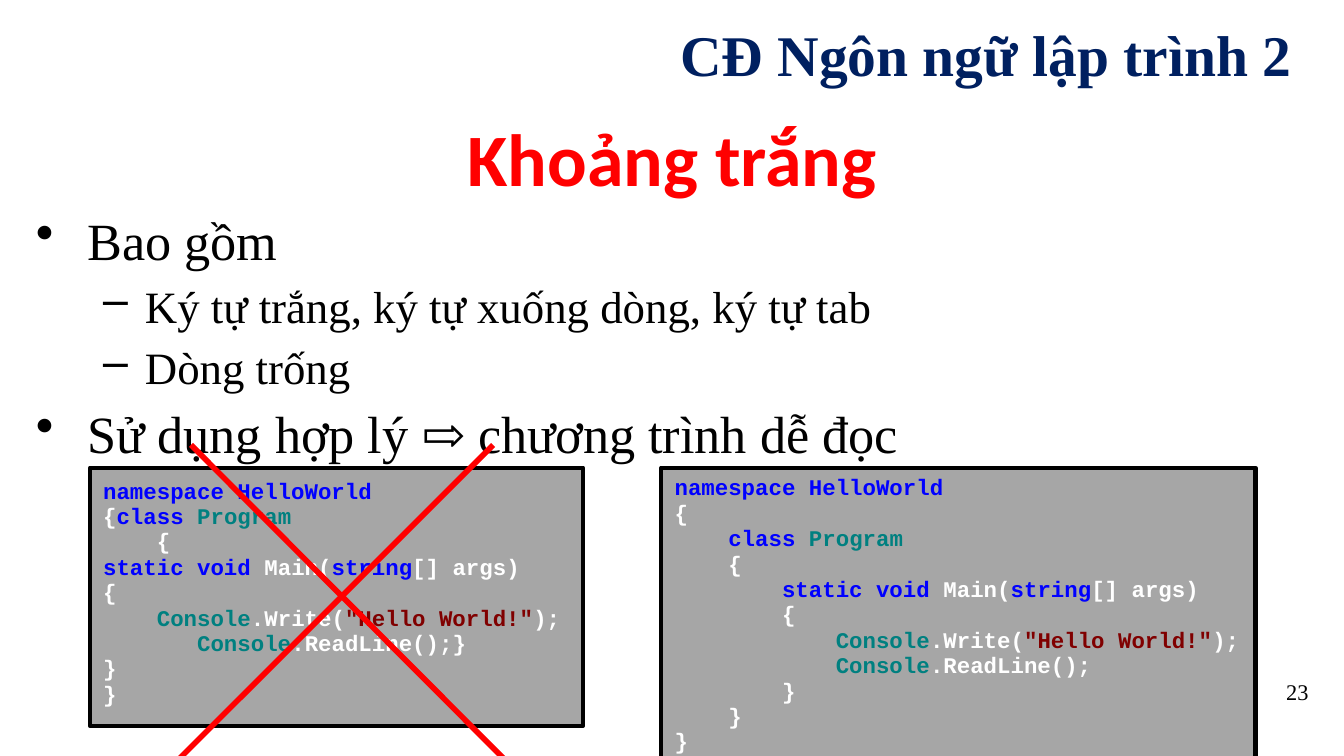
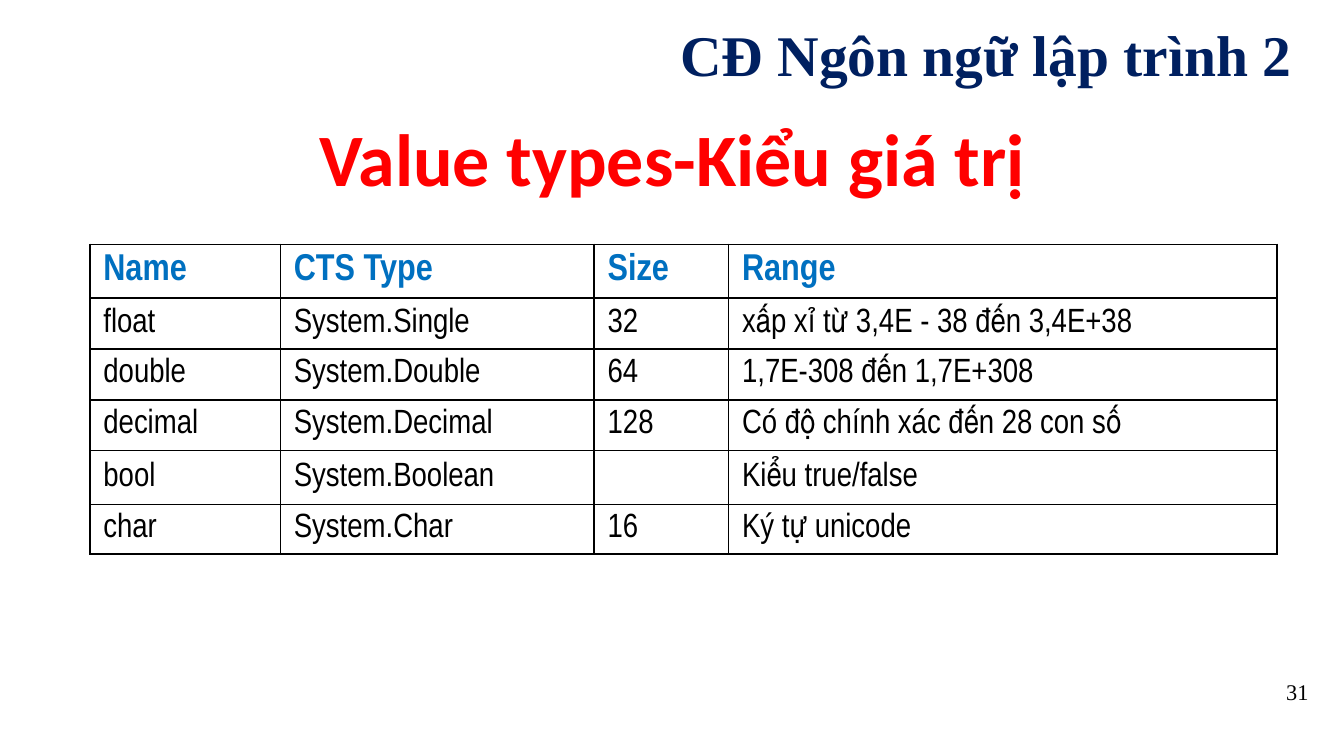
from dataclasses import dataclass

from lxml.etree import SubElement
from pptx import Presentation
from pptx.dml.color import RGBColor as RGB
from pptx.enum.shapes import MSO_CONNECTOR as CONN, MSO_SHAPE as SHAPE
from pptx.enum.text import MSO_ANCHOR as ANCHOR, PP_ALIGN as ALIGN
from pptx.oxml.ns import qn
from pptx.util import Cm, Pt


@dataclass(frozen=True)
class Theme:
    black: str = "000000"
    white: str = "FFFFFF"
    navy: str = "002060"
    red: str = "FF0000"
    table_head: str = "0070C0"
    keyword: str = "0000FF"
    type_name: str = "008080"
    string: str = "800000"
    serif: str = "Times New Roman"
    sans: str = "Calibri"
    narrow: str = "Arial Narrow"
    mono: str = "Courier New"
    course_size: float = 30.8
    title_size: float = 39.6
    body_sizes: tuple = (28, 24)
    head_size: float = 20
    cell_size: float = 18
    small_size: float = 12


T = Theme()


def add_run(p, text, font, size, color, bold=False):
    r = p.add_run()
    r.text = text
    r.font.name = font
    r.font.size = Pt(size)
    r.font.bold = bold
    r.font.color.rgb = RGB.from_string(color)


def add_box(s, left, top, width, height, anchor=ANCHOR.MIDDLE):
    """Add a wrapping text box, measured in centimetres; return its text frame."""
    tf = s.shapes.add_textbox(Cm(left), Cm(top), Cm(width), Cm(height)).text_frame
    tf.word_wrap = True
    tf.vertical_anchor = anchor
    return tf


prs = Presentation()
prs.slide_width, prs.slide_height = Cm(25.4), Cm(14.29)

# Course name, title and page number on every slide
slides = []
for title, number in [("Khoảng trắng", "23"), ("Value types-Kiểu giá trị", "31")]:
    s = prs.slides.add_slide(prs.slide_layouts[6])
    slides.append(s)
    for box, align, run in [
        ((12.5, 0.3, 12.27, 1.42), ALIGN.CENTER,
         ("CĐ Ngôn ngữ lập trình 2", T.serif, T.course_size, T.navy, True)),
        ((0.43, 2.13, 24.55, 1.68), ALIGN.CENTER,
         (title, T.sans, T.title_size, T.red, True)),
        ((19.05, 12.7, 5.93, 0.76), ALIGN.RIGHT,
         (number, T.serif, T.small_size, T.black)),
    ]:
        p = add_box(s, *box).paragraphs[0]
        p.alignment = align
        add_run(p, *run)
whitespace, value_types = slides

# Bullets: (left margin, hanging indent, character) per level
LEVELS = [(0.97, 0.97, "•"), (2.06, 0.79, "–")]
bullets = [
    (0, "Bao gồm"),
    (1, "Ký tự trắng, ký tự xuống dòng, ký tự tab"),
    (1, "Dòng trống"),
    (0, "Sử dụng hợp lý ⇨ chương trình dễ đọc"),
]
tf = add_box(whitespace, 0.43, 3.81, 24.55, 8.89, ANCHOR.TOP)
for i, (level, text) in enumerate(bullets):
    p = tf.add_paragraph() if i else tf.paragraphs[0]
    margin, hang, char = LEVELS[level]
    pPr = p._p.get_or_add_pPr()
    pPr.set("marL", str(Cm(margin)))
    pPr.set("indent", str(-Cm(hang)))
    SubElement(pPr, qn("a:buChar"), char=char)
    p.level = level
    p.alignment = ALIGN.JUSTIFY
    p.space_after = Pt(2)
    if i:
        p.space_before = Pt(2)
    add_run(p, text, T.serif, T.body_sizes[level], T.black)

# Code lines: (leading spaces, coloured runs)
NAMESPACE = [("namespace HelloWorld", T.keyword)]
CLASS = [("class ", T.keyword), ("Program", T.type_name)]
MAIN = [("static void ", T.keyword), ("Main(", T.white),
        ("string", T.keyword), ("[] args)", T.white)]
WRITE = [("Console", T.type_name), (".Write(", T.white),
         ('"Hello World!"', T.string), (");", T.white)]
READ = [("Console", T.type_name), (".ReadLine();", T.white)]
OPEN, CLOSE = [("{", T.white)], [("}", T.white)]

messy = [(0, NAMESPACE), (0, OPEN + CLASS), (4, OPEN), (0, MAIN), (0, OPEN),
         (4, WRITE), (7, READ + CLOSE), (0, CLOSE), (0, CLOSE)]
tidy = [(0, NAMESPACE), (0, OPEN), (4, CLASS), (4, OPEN), (8, MAIN), (8, OPEN),
        (12, WRITE), (12, READ), (8, CLOSE), (4, CLOSE), (0, CLOSE)]

for left, width, height, code in [(1.7, 9.32, 4.88, messy), (12.5, 11.23, 5.72, tidy)]:
    sp = whitespace.shapes.add_shape(SHAPE.RECTANGLE, Cm(left), Cm(8.84),
                                     Cm(width), Cm(height))
    sp.shadow.inherit = False
    sp.fill.solid()
    sp.fill.fore_color.rgb = RGB.from_string(T.black)
    fill_color = sp._element.spPr.find(qn("a:solidFill"))[0]
    SubElement(fill_color, qn("a:alpha"), val="35000")
    sp.line.color.rgb = RGB.from_string(T.black)
    sp.line.width = Pt(2.25)
    tf = sp.text_frame
    tf.word_wrap = False
    tf.vertical_anchor = ANCHOR.MIDDLE
    for i, (spaces, runs) in enumerate(code):
        p = tf.add_paragraph() if i else tf.paragraphs[0]
        p.alignment = ALIGN.LEFT
        p.line_spacing = 0.5
        if i:
            p.space_before = Pt(6.4)
        for j, (text, color) in enumerate(runs):
            indent = "" if j else " " * spaces
            add_run(p, indent + text, T.mono, T.small_size, color, True)

# Red cross over the messy code
cross = whitespace.shapes.add_group_shape()
for start, end in [(3.61, 9.53), (9.32, 3.38)]:
    line = cross.shapes.add_connector(CONN.STRAIGHT, Cm(start), Cm(8.41),
                                      Cm(end), Cm(14.35))
    line.line.color.rgb = RGB.from_string(T.red)
    line.line.width = Pt(3)
    SubElement(line._element.spPr, qn("a:effectLst"))

# Table of value types
rows = [
    ("Name", "CTS Type", "Size", "Range"),
    ("float", "System.Single", "32", "xấp xỉ từ 3,4E - 38 đến 3,4E+38"),
    ("double", "System.Double", "64", "1,7E-308 đến 1,7E+308"),
    ("decimal", "System.Decimal", "128", "Có độ chính xác đến 28 con số"),
    ("bool", "System.Boolean", "", "Kiểu true/false"),
    ("char", "System.Char", "16", "Ký tự unicode"),
]
col_widths = [3.6, 5.93, 2.54, 10.37]
row_heights = [1, 0.96, 0.96, 0.96, 0.96, 0.93]
table = value_types.shapes.add_table(
    len(rows), len(col_widths), Cm(1.7), Cm(4.62),
    Cm(sum(col_widths)), Cm(sum(row_heights))).table
table.first_row = table.horz_banding = False
for column, width in zip(table.columns, col_widths):
    column.width = Cm(width)
for i, (height, texts) in enumerate(zip(row_heights, rows)):
    table.rows[i].height = Cm(height)
    for j, text in enumerate(texts):
        cell = table.cell(i, j)
        cell.vertical_anchor = ANCHOR.MIDDLE
        tcPr = cell._tc.get_or_add_tcPr()
        for side in ("lnL", "lnR", "lnT", "lnB"):
            border = SubElement(tcPr, qn(f"a:{side}"), w=str(Pt(1)))
            SubElement(SubElement(border, qn("a:solidFill")), qn("a:srgbClr"), val=T.black)
        cell.fill.background()
        p = cell.text_frame.paragraphs[0]
        p.line_spacing = 0.9
        if i == 0:
            add_run(p, text, T.narrow, T.head_size, T.table_head, True)
        elif text:
            add_run(p, text, T.narrow, T.cell_size, T.black)

prs.save("out.pptx")
